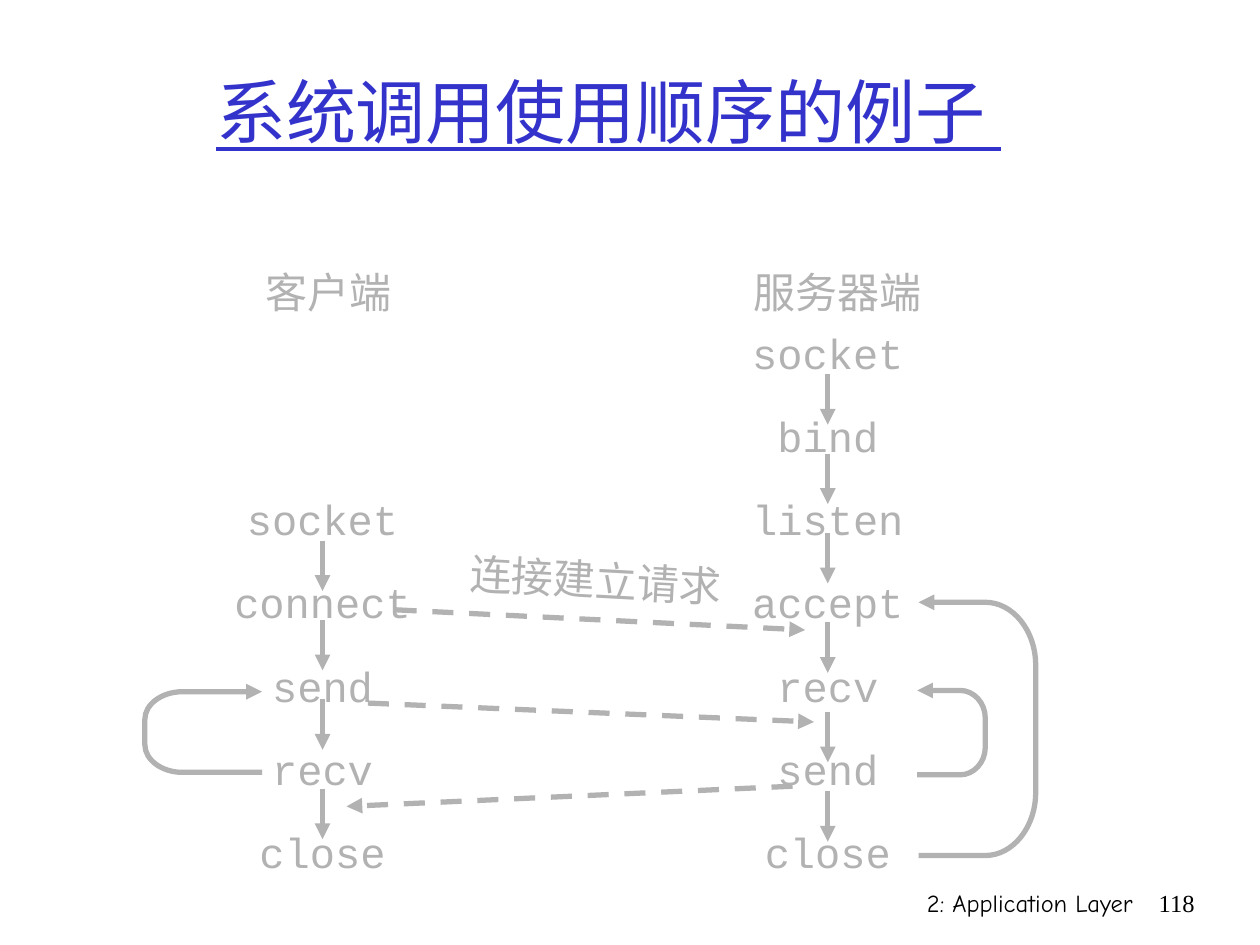
"""Build a slide showing the order of socket calls on client and server."""
import pptx
import pptx.dml.color
import pptx.enum.dml
import pptx.enum.shapes
import pptx.enum.text
import pptx.oxml
import pptx.oxml.ns
import pptx.util

Inches = pptx.util.Inches
qn = pptx.oxml.ns.qn
ALIGN = pptx.enum.text.PP_ALIGN
GRAY, BLUE, BLACK = "B2B2B2", "3333CC", "000000"

TITLE = "系统调用使用顺序的例子 "
HEADINGS = [
    {"text": "客户端", "left": 2.01, "top": 2.07, "width": 1.2, "angle": 0},
    {"text": "服务器端", "left": 5.88, "top": 2.07, "width": 1.53, "angle": 0},
    {"text": "连接建立请求", "left": 3.63, "top": 4.35, "width": 2.2, "angle": 3.1},
]
FOOTER = [
    {"text": "2: Application Layer", "left": 5.92, "width": 3.17, "font": "Comic Neue"},
    {"text": "118", "left": 9.08, "width": 0.5, "font": "Times New Roman"},
]
SERVER = {
    "center": 6.57, "first_row": 0,
    "calls": ["socket", "bind", "listen", "accept", "recv", "send", "close"],
    "arrow_tops": [2.97, 3.6, 4.23, 4.94, 5.65, 6.28],
}
CLIENT = {
    "center": 2.56, "first_row": 2,
    "calls": ["socket", "connect", "send", "recv", "close"],
    "arrow_tops": [4.29, 4.92, 5.55, 6.26],
}
MESSAGES = [
    {"start": (3.14, 4.84), "end": (6.39, 5)},
    {"start": (2.92, 5.58), "end": (6.46, 5.73)},
    {"start": (6.29, 6.24), "end": (2.75, 6.4)},
]
LOOPS = [
    {"tip": 2.08, "side": 1.15, "top": 5.49, "bottom": 6.13, "corner": (0.3, 0.22)},
    {"tip": 7.28, "side": 7.82, "top": 5.48, "bottom": 6.15, "corner": (0.2, 0.22)},
    {"tip": 7.29, "side": 8.22, "top": 4.78, "bottom": 6.79, "corner": (0.4, 0.5)},
]
FIRST_TOP, ROW_STEP, BOX_HEIGHT = 2.55, 0.66, 0.5
CHAR_WIDTH, ARROW_LENGTH = 0.2, 0.4
ARC_PULL = 0.55


def rgb(color):
    return pptx.dml.color.RGBColor.from_string(color)


def a_element(tag, attributes=""):
    return pptx.oxml.parse_xml(f'<a:{tag} {pptx.oxml.ns.nsdecls("a")} {attributes}/>')


def write(frame, text, size, font, color, align):
    frame.text = text
    paragraph = frame.paragraphs[0]
    paragraph.alignment = align
    span = paragraph.runs[0]
    span.font.size = pptx.util.Pt(size)
    span.font.name = font
    span.font.color.rgb = rgb(color)
    return span


def add_title(page):
    title = page.shapes.title
    title.left, title.top, title.width, title.height = map(Inches, (0.58, 0.25, 8.5, 1.25))
    title.text_frame.vertical_anchor = pptx.enum.text.MSO_ANCHOR.MIDDLE
    span = write(title.text_frame, TITLE, 40, "Comic Neue", BLUE, ALIGN.CENTER)
    span.font.underline = True


def add_label(page, text, left, top, width, font, align, size=24, color=GRAY, wrap=False):
    box = page.shapes.add_textbox(*map(Inches, (left, top, width, BOX_HEIGHT)))
    box.text_frame.word_wrap = wrap
    if not wrap:
        box.text_frame.auto_size = pptx.enum.text.MSO_AUTO_SIZE.SHAPE_TO_FIT_TEXT
    write(box.text_frame, text, size, font, color, align)
    return box


def style_arrow(shape):
    shape.line.color.rgb = rgb(GRAY)
    shape.line.width = pptx.util.Pt(3)
    shape.line._get_or_add_ln().append(a_element("tailEnd", 'type="triangle"'))


def add_arrow(page, start, end, dashed=False):
    arrow = page.shapes.add_connector(
        pptx.enum.shapes.MSO_CONNECTOR.STRAIGHT, *map(Inches, (*start, *end)))
    if dashed:
        arrow.line.dash_style = pptx.enum.dml.MSO_LINE.DASH
    style_arrow(arrow)
    arrow._element.spPr.append(a_element("effectLst"))


def add_call_column(page, center, first_row, calls, arrow_tops):
    for row, call in enumerate(calls, first_row):
        width = CHAR_WIDTH * (len(call) + 1)
        add_label(page, call, center - width / 2, FIRST_TOP + row * ROW_STEP,
                  width, "Courier New", ALIGN.CENTER)
    for top in arrow_tops:
        add_arrow(page, (center, top), (center, top + ARROW_LENGTH))


def between(start, end, share):
    return tuple(a + (b - a) * share for a, b in zip(start, end))


def curve_points(start, bend, end):
    return [between(start, bend, ARC_PULL), between(end, bend, ARC_PULL), end]


def loop_points(tip, side, top, bottom, corner):
    """Return the start and the curves of a bracket with two rounded corners."""
    across, down = corner
    inner = side - across if side > tip else side + across
    foot, head = (tip, bottom), (tip, top)
    lower_in, lower_out = (inner, bottom), (side, bottom - down)
    upper_in, upper_out = (side, top + down), (inner, top)
    return foot, [
        *curve_points(foot, lower_in, lower_in),
        *curve_points(lower_in, (side, bottom), lower_out),
        *curve_points(lower_out, upper_in, upper_in),
        *curve_points(upper_in, (side, top), upper_out),
        *curve_points(upper_out, head, head),
    ]


def lines_to_curves(shape):
    """Turn every three line segments of a freeform into one Bézier curve."""
    lines = list(shape._element.iter(qn("a:lnTo")))
    for first in range(0, len(lines), 3):
        curve = a_element("cubicBezTo")
        lines[first].addprevious(curve)
        for line in lines[first:first + 3]:
            curve.append(line.find(qn("a:pt")))
            line.getparent().remove(line)


def add_loop(page, **geometry):
    start, points = loop_points(**geometry)
    builder = page.shapes.build_freeform(*map(Inches, start))
    builder.add_line_segments([tuple(map(Inches, point)) for point in points], close=False)
    loop = builder.convert_to_shape()
    lines_to_curves(loop)
    loop.fill.background()
    style_arrow(loop)
    loop.shadow.inherit = False


def main():
    deck = pptx.Presentation()
    deck.slide_width, deck.slide_height = Inches(10), Inches(7.5)
    page = deck.slides.add_slide(deck.slide_layouts[5])

    add_title(page)
    for item in FOOTER:
        add_label(page, top=7, align=ALIGN.RIGHT, size=14, color=BLACK, wrap=True, **item)
    for heading in HEADINGS:
        label = add_label(page, heading["text"], heading["left"], heading["top"],
                          heading["width"], "Arial", ALIGN.LEFT)
        label.rotation = heading["angle"]
    for column in (SERVER, CLIENT):
        add_call_column(page, **column)
    for loop in LOOPS:
        add_loop(page, **loop)
    for message in MESSAGES:
        add_arrow(page, dashed=True, **message)

    deck.save("out.pptx")


if __name__ == "__main__":
    main()
